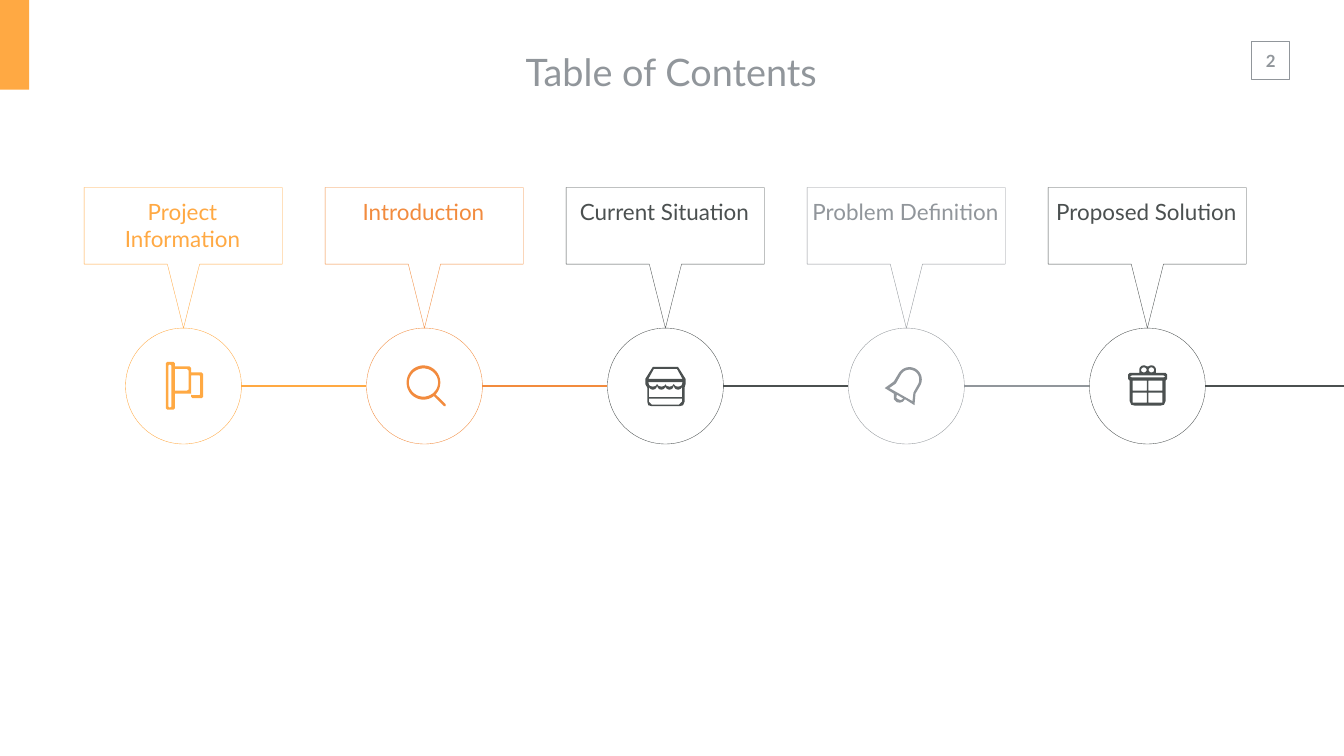
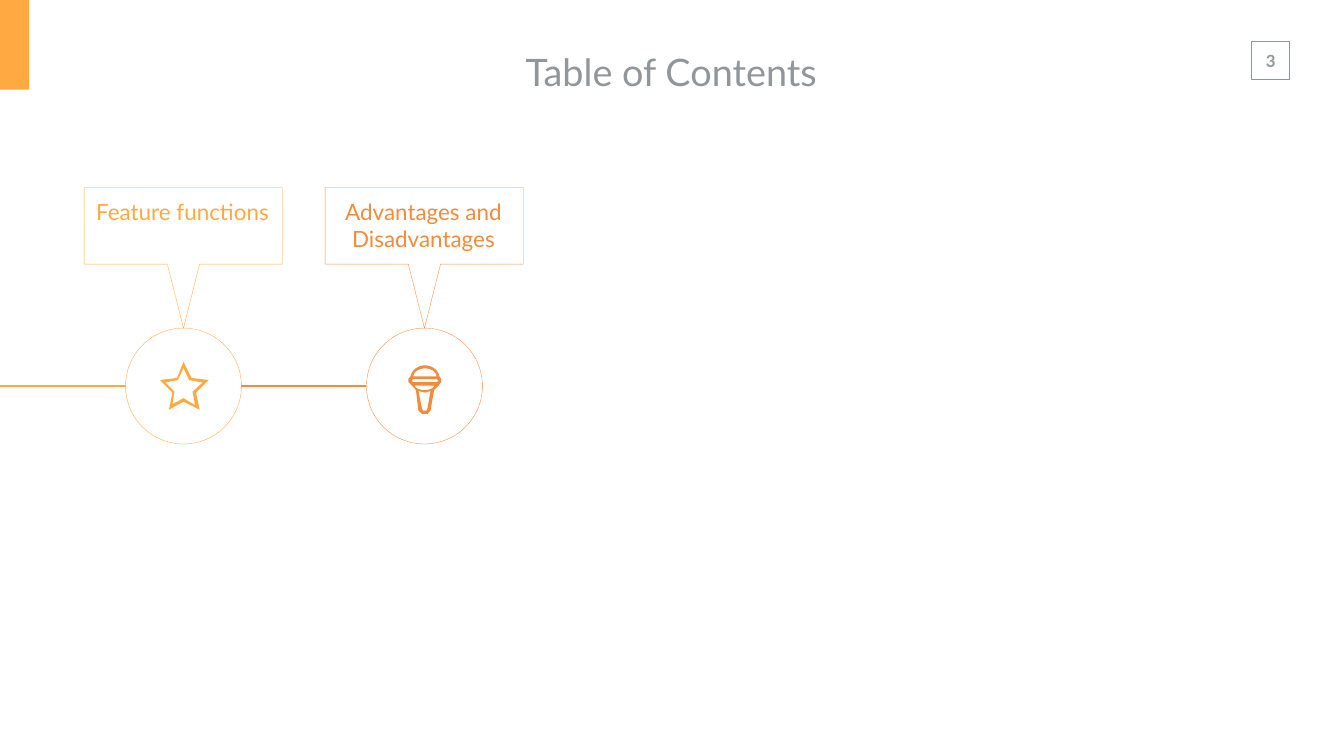
from math import cos, radians, sin

from lxml.etree import SubElement
from pptx import Presentation
from pptx.dml.color import RGBColor
from pptx.enum.shapes import MSO_CONNECTOR, MSO_SHAPE
from pptx.enum.text import MSO_ANCHOR, MSO_AUTO_SIZE, PP_ALIGN
from pptx.oxml.ns import qn
from pptx.util import Inches, Pt

WHITE, AMBER, ORANGE = "FFFFFF", "FFA943", "F28B3E"
GRAY, CHARCOAL = "91969B", "4B5050"
FONT = "Lato"
SLIDE_WIDTH = 26.66
FIRST_X, NODE_Y, PITCH, RADIUS = 3.64, 7.66, 4.78, 1.15
LABEL_WIDTH = 3.95


def tint(fill, color):
    fill.solid()
    fill.fore_color.rgb = RGBColor.from_string(color)


def arc(x, y, rx, ry, start, end, steps=24):
    angles = [radians(start + (end - start) * i / steps) for i in range(steps + 1)]
    return [(x + rx * cos(a), y + ry * sin(a)) for a in angles]


callout = [[(-197, -394), (196, -394), (196, -242), (32, -242), (0, -115),
            (-32, -242), (-197, -242)]]

flag = [
    [(-35, -45), (-32, -48), (-20, -48), (-17, -45), (-17, -39), (12, -39), (15, -36),
     (15, -27), (36, -27), (39, -24), (39, 21), (36, 24), (18, 24), (15, 21), (15, 15),
     (-17, 15), (-17, 44), (-20, 47), (-32, 47), (-35, 44)],
    [(-30, -41), (-27, -43), (-24, -41), (-24, 41), (-27, 43), (-30, 41)],
    [(-17, -34), (7, -34), (10, -31), (10, 7), (7, 9), (-17, 9)],
    [(15, -21), (32, -21), (33, -19), (33, 16), (32, 18), (15, 18)],
]

magnifier = [
    arc(-2, -7, 33.5, 34, 52, 404, 48) + [(42, 36), (42, 40), (39, 40)],
    arc(-2, -7, 29, 28, 0, 360, 48),
]

awning_edge = [p for x in (25, 8, -8, -25) for p in arc(x, -4, 8, 5, 0, 180, 12)]
awning_shadow = [p for x in (-25, -8, 8, 25) for p in arc(x, 0, 8, 7, 180, 0, 12)]
store = [
    [(-25, -38), (25, -38), (40, -14), (40, -4), (38, 3), (38, 31), (35, 38), (28, 40),
     (-27, 40), (-34, 38), (-36, 31), (-36, 3), (-40, -4), (-40, -14)],
    [(-34, -14), (-23, -34), (23, -34), (34, -14)],
    [(-34, -8), (34, -8)] + awning_edge,
    awning_shadow + [(33, 22), (-33, 22)],
    [(-33, 25), (33, 25), (33, 31), (27, 37), (-27, 37), (-33, 31)],
]

bell = [
    arc(6, -13, 24.5, 24.5, 210, 390)
    + [(18, 15), (16, 38), (-3, 26), (-7, 31), (-13, 33), (-19, 32), (-25, 26),
       (-25, 15), (-43, 4), (-25, -9)],
    arc(6, -13, 19.5, 19.5, 210, 390) + [(14, 13), (12, 30), (-34, 4), (-21, -5)],
    [(-17, 26), (-20, 23), (-19, 17), (-6, 25), (-11, 28)],
]

gift = [
    [(-38, -23), (-35, -26), (-16, -26)]
    + arc(-7, -32, 9, 9, 180, 310) + arc(8, -32, 9, 9, 230, 360)
    + [(17, -26), (36, -26), (39, -23), (39, -14), (36, -11), (36, 30), (33, 37),
       (25, 39), (-24, 39), (-32, 37), (-35, 30), (-35, -11), (-38, -14)],
    arc(-7, -32, 5.5, 5, 0, 360),
    arc(8, -32, 5.5, 5, 0, 360),
    [(-35, -19), (-31, -21), (32, -21), (36, -19), (32, -17), (-31, -17)],
]
gift += [[(x, y), (x + 28, y), (x + 28, y + 20), (x, y + 20)]
         for x in (-29, 2) for y in (-11, 13)]

star = [
    [(50, -12), (16, -16), (0, -48), (-13, -16), (-47, -12), (-22, 13), (-29, 47),
     (0, 31), (32, 47), (25, 13)],
    [(0, 24), (-22, 36), (-18, 11), (-36, -7), (-11, -12), (0, -36), (11, -12),
     (38, -7), (18, 11), (23, 38)],
]

microphone = [
    arc(1, -15, 29, 26, 190, 350)
    + [(33, -14), (33, -8), (28, -1), (19, 8), (12, 49), (6, 55), (-5, 55), (-12, 49),
       (-17, 8), (-25, -1), (-32, -8), (-32, -14)],
    arc(1, -19, 23, 16, 180, 360),
    [(-23, -14), (24, -14), (28, -10), (24, -8), (-23, -8), (-25, -10)],
    arc(0, -1, 19, 9, 0, 180),
    [(-12, 10), (1, 13), (12, 10), (6, 44), (4, 49), (-3, 49), (-5, 44)],
]

agenda = [
    (2, PITCH, [
        ("Project Information", AMBER, flag),
        ("Introduction", ORANGE, magnifier),
        ("Current Situation", CHARCOAL, store),
        ("Problem Definition", GRAY, bell),
        ("Proposed Solution", CHARCOAL, gift),
    ]),
    (3, 0, [
        ("Feature functions", AMBER, star),
        ("Advantages and Disadvantages", ORANGE, microphone),
    ]),
]

prs = Presentation()
prs.slide_width, prs.slide_height = Inches(SLIDE_WIDTH), Inches(15)

for number, link_shift, topics in agenda:
    slide = prs.slides.add_slide(prs.slide_layouts[5])
    shapes = slide.shapes

    page_number = shapes.add_textbox(Inches(24.8), Inches(0.9), Inches(0.81), Inches(0.61))
    page_frame = shapes.add_shape(MSO_SHAPE.RECTANGLE, Inches(24.83), Inches(0.82),
                                  Inches(0.75), Inches(0.75))
    page_frame.shadow.inherit = False
    page_frame.fill.background()
    tint(page_frame.line.fill, GRAY)
    page_frame.line.width = Pt(1)
    corner_band = shapes.add_shape(MSO_SHAPE.RECTANGLE, 0, 0, Inches(0.58), Inches(1.78))
    corner_band.shadow.inherit = False
    tint(corner_band.fill, AMBER)
    corner_band.line.fill.background()

    title = shapes.title
    title.left, title.top = Inches(8.15), Inches(0.83)
    title.width, title.height = Inches(10.33), Inches(1.18)
    texts = [(page_number, str(number), 24, GRAY, 0.2, 0.1),
             (title, "Table of Contents", 54, GRAY, 0.27, 0.13)]

    for i, (topic, color, icon) in enumerate(topics):
        x = FIRST_X + PITCH * i
        node = shapes.add_shape(MSO_SHAPE.OVAL, Inches(x - RADIUS), Inches(NODE_Y - RADIUS),
                                Inches(2 * RADIUS), Inches(2 * RADIUS))
        node.shadow.inherit = False
        tint(node.fill, WHITE)
        tint(node.line.fill, color)
        node.line.width = Pt(0.5)

        link_start = x + RADIUS + link_shift - PITCH
        link_end = link_start + PITCH - 2 * RADIUS
        if link_end + 2 * RADIUS > SLIDE_WIDTH:
            link_end = SLIDE_WIDTH
        link = shapes.add_connector(MSO_CONNECTOR.STRAIGHT, Inches(link_start), Inches(NODE_Y),
                                    Inches(link_end), Inches(NODE_Y))
        tint(link.line.fill, color)
        link.line.width = Pt(3)
        SubElement(link._element.spPr, qn("a:effectLst"))

        for contours in (callout, icon):
            builder = None
            for contour in contours:
                start, *rest = [(px * 10, py * 10) for px, py in contour]
                if builder is None:
                    builder = shapes.build_freeform(*start, scale=Inches(1) / 1000)
                else:
                    builder.move_to(*start)
                builder.add_line_segments(rest, close=True)
            outline = builder.convert_to_shape(Inches(x), Inches(NODE_Y))
            outline.shadow.inherit = False
            if contours is callout:
                outline.fill.background()
                tint(outline.line.fill, color)
                outline.line.width = Pt(0.5)
            else:
                tint(outline.fill, color)
                outline.line.fill.background()

        label = shapes.add_textbox(Inches(x - LABEL_WIDTH / 2 - 0.02), Inches(3.89),
                                   Inches(LABEL_WIDTH), Inches(1.18))
        texts.append((label, topic, 32, color, 0.1, 0.05))

    for box, words, size, color, side, edge in texts:
        frame = box.text_frame
        frame.text = words
        frame.word_wrap = box is not page_number
        frame.auto_size = MSO_AUTO_SIZE.SHAPE_TO_FIT_TEXT
        frame.vertical_anchor = MSO_ANCHOR.MIDDLE if box is title else MSO_ANCHOR.TOP
        frame.margin_left = frame.margin_right = Inches(side)
        frame.margin_top = frame.margin_bottom = Inches(edge)
        paragraph = frame.paragraphs[0]
        paragraph.alignment = PP_ALIGN.CENTER
        font = paragraph.runs[0].font
        font.name, font.size, font.bold = FONT, Pt(size), box is page_number
        tint(font.fill, color)

prs.save("out.pptx")
